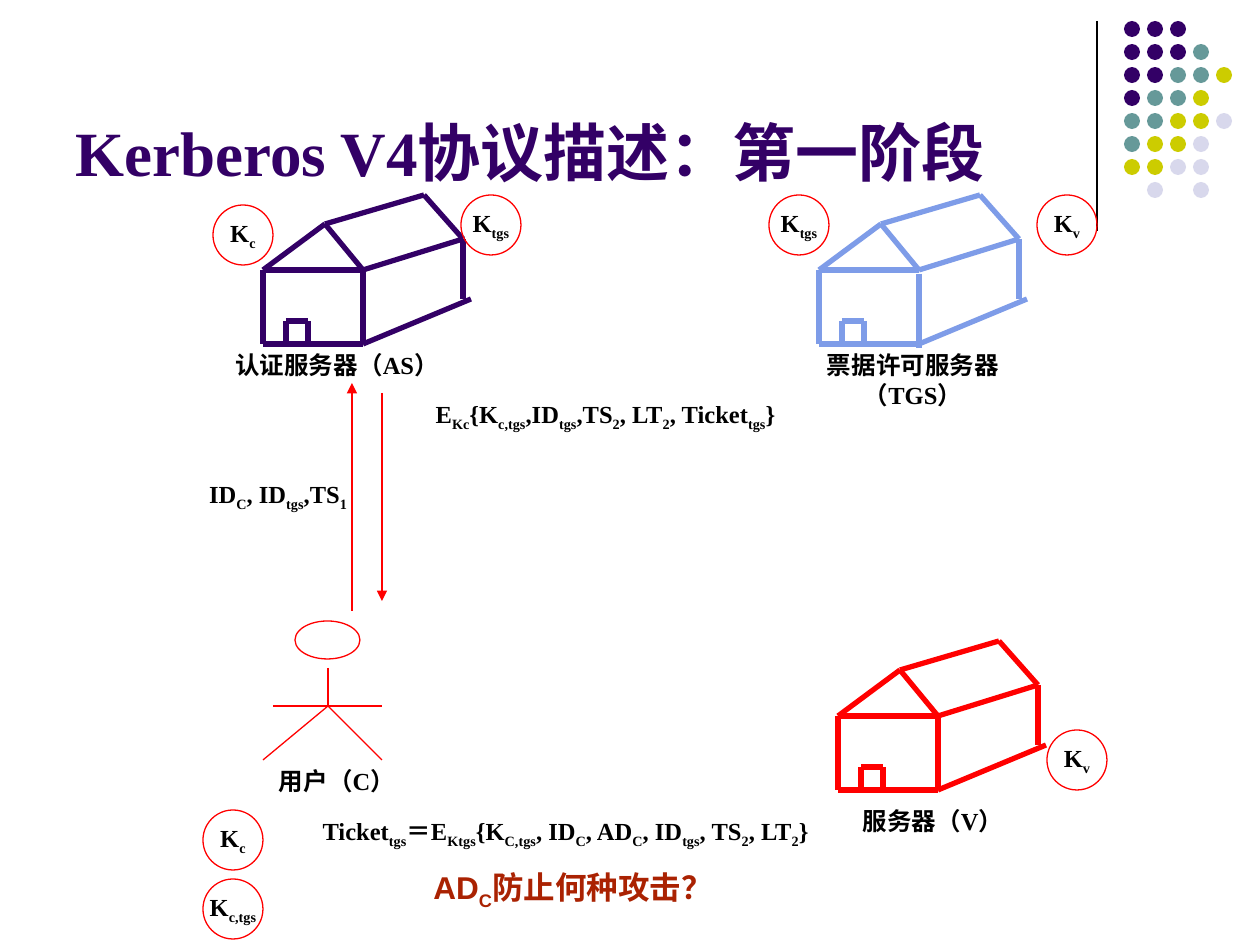
import pptx
import pptx.dml.color
import pptx.enum.shapes
import pptx.enum.text
import pptx.oxml
import pptx.util

PX = 914400 / 126
SERIF, SANS = "Times New Roman", "Arial"
ALIGN = pptx.enum.text.PP_ALIGN
ANCHOR = pptx.enum.text.MSO_ANCHOR

COLORS = {
    "purple": "330066", "teal": "669999", "olive": "CCCC00", "lilac": "D8D8EC",
    "blue": "7E9CE8", "red": "FF0000", "rust": "AA2202", "black": "000000",
}

# Content: in rich text, every second piece is a subscript
TITLE = "Kerberos V4协议描述：第一阶段"
DOT_ROWS = ["PPP", "PPPT", "PPTTY", "PTTY", "TTYYL", "TYYL", "YYLL", " L L"]
DOT_COLORS = {"P": "purple", "T": "teal", "Y": "olive", "L": "lilac"}

# House: left, top, colour, downward shift of the front corner wall
HOUSES = [(819, 195, "blue", 4), (838, 641, "red", 0), (263, 195, "purple", 0)]
HOUSE_STROKES = [
    (62, 29, 0, 75), (62, 29, 100, 75), (0, 75, 100, 75),           # gable
    (62, 29, 161, 0), (161, 0, 200, 44), (100, 75, 200, 44),        # roof
    (0, 75, 0, 149), (0, 149, 100, 149),                            # front
    (100, 149, 208, 104), (200, 44, 200, 104),                      # side
    (23, 126, 23, 149), (23, 126, 45, 126), (45, 126, 45, 149),     # door
]
CORNER_WALL = (100, 75, 100, 149)

USER_HEAD = (295, 621, 65, 38)
USER_STROKES = [(328, 668, 328, 706), (328, 706, 263, 760),
                (328, 706, 382, 760), (273, 706, 382, 706)]
ARROWS = [(352, 611, 352, 383), (382, 393, 382, 601)]

LABELS = [
    (789, 344, 248, 72, ["票据许可服务器（TGS）"]),
    (809, 800, 248, 43, ["服务器（V）"]),
    (213, 344, 248, 43, ["认证服务器（AS）"]),
    (213, 760, 248, 43, ["用户（C）"]),
    (174, 473, 208, 47, ["ID", "C", ", ID", "tgs", ",TS", "1"]),
    (392, 393, 427, 47, ["E", "Kc", "{K", "c,tgs", ",ID", "tgs", ",TS", "2",
                         ", LT", "2", ", Ticket", "tgs", "}"]),
    (253, 810, 625, 47, ["Ticket", "tgs", "＝E", "Ktgs", "{K", "C,tgs", ", ID", "C",
                         ", AD", "C", ", ID", "tgs", ", TS", "2", ", LT", "2", "}"]),
]
QUESTION = (421, 862, 311, 55, ["AD", "C", "防止何种攻击？"])

KEY_SIZE = 60
KEYS = [(203, 810, "c"), (213, 205, "c"), (769, 195, "tgs"), (1047, 730, "v"),
        (461, 195, "tgs"), (1037, 195, "v"), (203, 879, "c,tgs")]


def px(*values):
    return [round(value * PX) for value in values]


def rgb(name):
    return pptx.dml.color.RGBColor.from_string(COLORS[name])


def add_line(shapes, ends, color, width, arrow=False):
    line = shapes.add_connector(pptx.enum.shapes.MSO_CONNECTOR.STRAIGHT, *px(*ends))
    line.line.color.rgb = rgb(color)
    line.line.width = pptx.util.Pt(width)
    properties = line._element.spPr
    if arrow:
        tail = properties.find(pptx.oxml.ns.qn("a:ln")).makeelement(
            pptx.oxml.ns.qn("a:tailEnd"), {"type": "triangle"})
        properties.find(pptx.oxml.ns.qn("a:ln")).append(tail)
    properties.append(properties.makeelement(pptx.oxml.ns.qn("a:effectLst"), {}))


def add_oval(shapes, place, fill=None, outline=None):
    oval = shapes.add_shape(pptx.enum.shapes.MSO_SHAPE.OVAL, *px(*place))
    oval.shadow.inherit = False
    if fill:
        oval.fill.solid()
        oval.fill.fore_color.rgb = rgb(fill)
    else:
        oval.fill.background()
    if outline:
        oval.line.color.rgb = rgb(outline)
        oval.line.width = pptx.util.Pt(0.75)
    else:
        oval.line.fill.background()
    return oval


def write(box, pieces, size=14, font=SERIF, color="black", align=ALIGN.CENTER,
          anchor=ANCHOR.TOP, wrap=True):
    frame = box.text_frame
    frame.word_wrap = wrap
    frame.auto_size = pptx.enum.text.MSO_AUTO_SIZE.NONE
    frame.vertical_anchor = anchor
    para = frame.paragraphs[0]
    para.alignment = align
    for index, piece in enumerate(pieces):
        span = para.add_run()
        span.text = piece
        span.font.size = pptx.util.Pt(size)
        span.font.name = font
        span.font.bold = True
        span.font.color.rgb = rgb(color)
        if index % 2:
            span.font._element.set("baseline", "-25000")


def main():
    deck = pptx.Presentation()
    deck.slide_width, deck.slide_height = px(1260, 945)
    page = deck.slides.add_slide(deck.slide_layouts[5])
    shapes = page.shapes

    # Corner decoration
    add_line(shapes, (1097, 21, 1097, 231), "black", 0.75)
    dots = shapes.add_group_shape().shapes
    for row, marks in enumerate(DOT_ROWS):
        for column, mark in enumerate(marks):
            if mark in DOT_COLORS:
                add_oval(dots, (1124 + 23 * column, 21 + 23 * row, 16, 16),
                         fill=DOT_COLORS[mark])

    # Title
    title = shapes.title
    title.left, title.top, title.width, title.height = px(63, 16, 1040, 179)
    write(title, [TITLE], 36, color="purple", align=ALIGN.LEFT, anchor=ANCHOR.BOTTOM)

    # Server houses
    for left, top, color, shift in HOUSES:
        house = shapes.add_group_shape().shapes
        x1, y1, x2, y2 = CORNER_WALL
        for x1, y1, x2, y2 in HOUSE_STROKES + [(x1, y1 + shift, x2, y2 + shift)]:
            add_line(house, (left + x1, top + y1, left + x2, top + y2), color, 3)

    # User figure
    user = shapes.add_group_shape().shapes
    add_oval(user, USER_HEAD, outline="red")
    for stroke in USER_STROKES:
        add_line(user, stroke, "red", 0.75)

    # Messages and labels
    for arrow in ARROWS:
        add_line(shapes, arrow, "red", 0.75, arrow=True)
    for *place, pieces in LABELS:
        write(shapes.add_textbox(*px(*place)), pieces)

    # Keys
    for left, top, owner in KEYS:
        key = add_oval(shapes, (left, top, KEY_SIZE, KEY_SIZE), outline="red")
        write(key, ["K", owner], anchor=ANCHOR.MIDDLE, wrap=False)

    # Question
    *place, pieces = QUESTION
    write(shapes.add_textbox(*px(*place)), pieces, 18, SANS, "rust", ALIGN.LEFT, wrap=False)

    deck.save("out.pptx")


if __name__ == "__main__":
    main()
